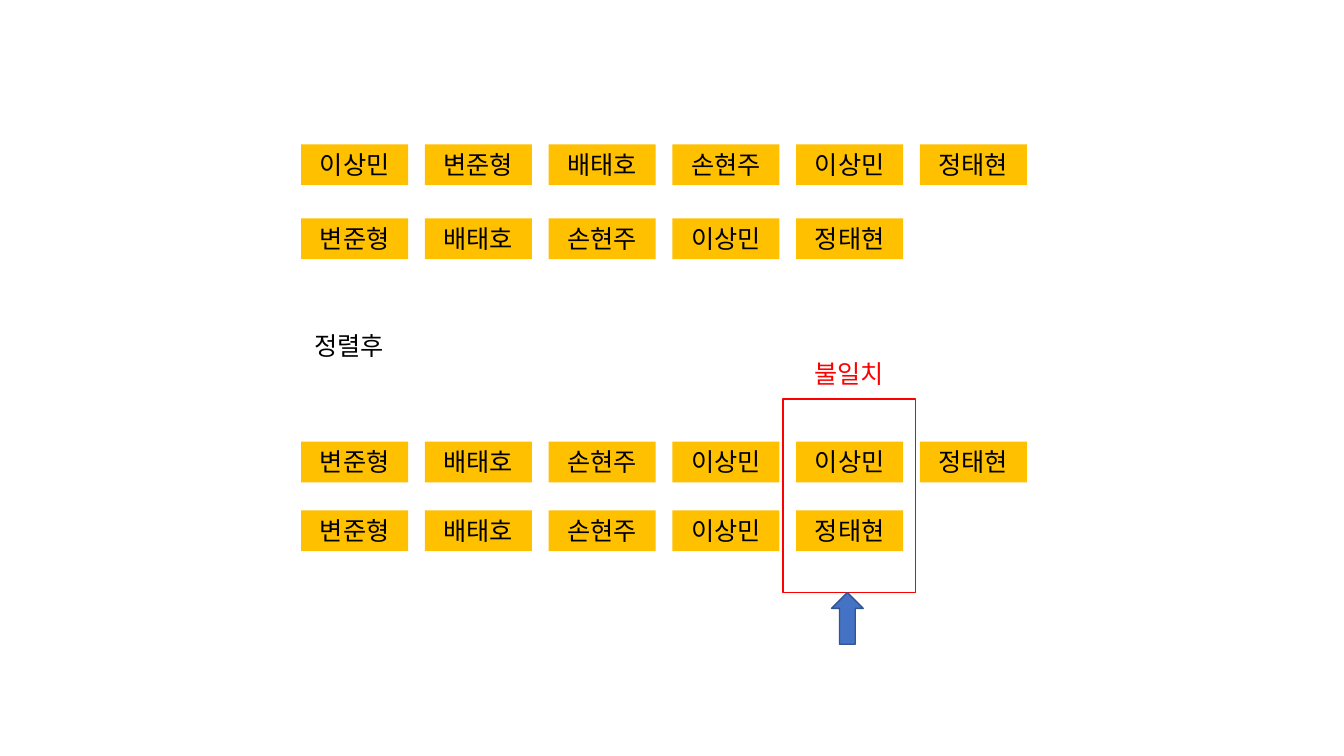
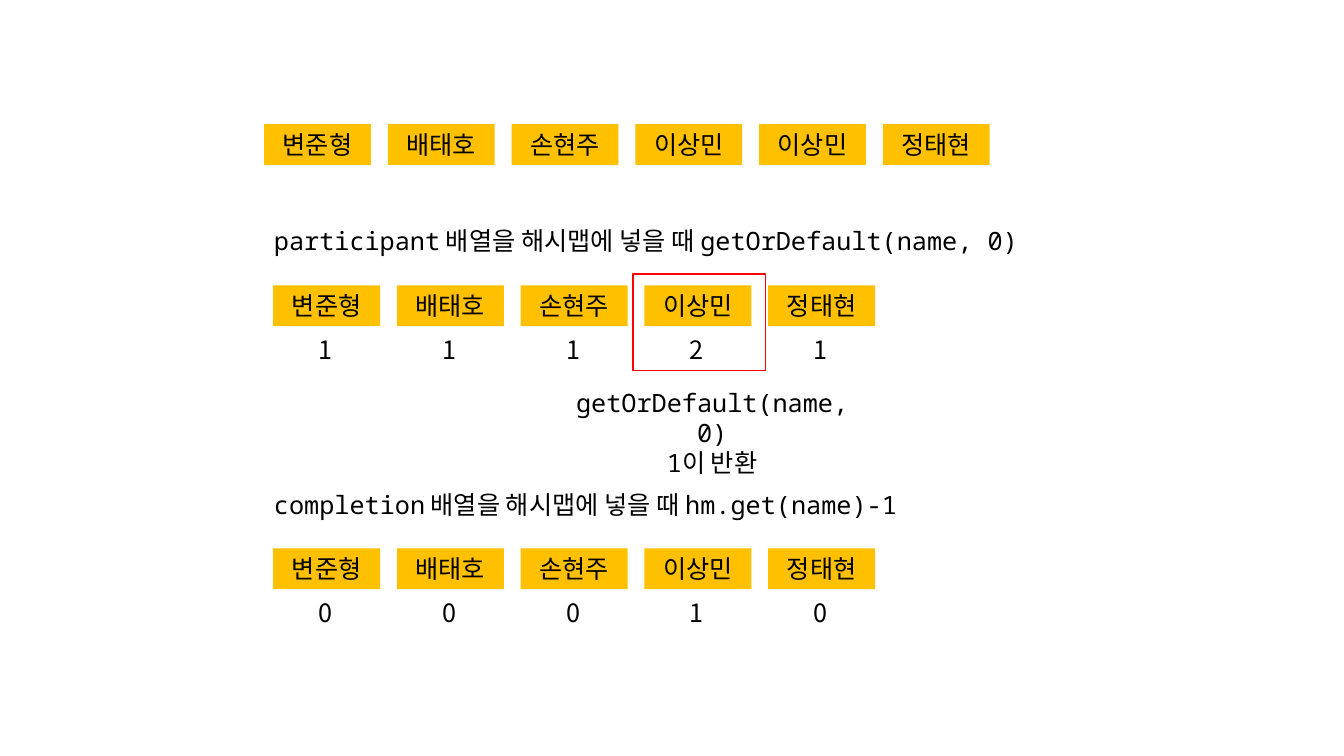
from pptx import Presentation
from pptx import util as u
from pptx.dml import color
from pptx.enum import shapes, text
from pptx.oxml import ns
from lxml import etree

COLOURS = {"card": "FFC000", "ink": "000000", "alert": "FF0000",
           "arrow": "4472C4", "arrow_edge": "325491"}
KOREAN, CODE = "Noto Sans CJK KR", "Noto Sans Mono"
CARD_W, CARD_H, PITCH = 76.4, 29.1, 88.4
COUNT_W, COUNT_DROP = 45.4, 31.7

NAMES = ["변준형", "배태호", "손현주", "이상민", "정태현"]
SORTED_PARTICIPANTS = NAMES[:4] + ["이상민", "정태현"]
PARTICIPANTS = ["이상민"] + SORTED_PARTICIPANTS[:4] + ["정태현"]


def rgb(name):
    return color.RGBColor.from_string(COLOURS[name])


def write(shape, lines, colour="ink", size=18, centred=True):
    """Fill a shape with lines, each a list of (words, font) spans."""
    frame = shape.text_frame
    frame.word_wrap = True
    frame.vertical_anchor = text.MSO_ANCHOR.TOP
    for number, spans in enumerate(lines):
        para = frame.add_paragraph() if number else frame.paragraphs[0]
        para.alignment = text.PP_ALIGN.CENTER if centred else text.PP_ALIGN.LEFT
        para.line_spacing = u.Pt(size * 1.2)
        for words, font in spans:
            span = para.add_run()
            span.text = words
            span.font.size = u.Pt(size)
            span.font.name = font
            span.font.color.rgb = rgb(colour)
            east_asian = etree.SubElement(span.font._element, ns.qn("a:ea"))
            east_asian.set("typeface", KOREAN)


def add_label(page, left, top, width, height, lines, **style):
    box = page.shapes.add_textbox(*map(u.Pt, (left, top, width, height)))
    write(box, lines, **style)


def add_figure(page, kind, left, top, width, height, fill=None, line=None):
    figure = page.shapes.add_shape(kind, *map(u.Pt, (left, top, width, height)))
    figure.shadow.inherit = False
    if fill:
        figure.fill.solid()
        figure.fill.fore_color.rgb = rgb(fill)
    else:
        figure.fill.background()
    if line:
        figure.line.color.rgb = rgb(line)
        figure.line.width = u.Pt(1)
    else:
        figure.line.fill.background()
    return figure


def add_cards(page, left, top, names):
    for column, name in enumerate(names):
        card = add_figure(page, shapes.MSO_SHAPE.RECTANGLE, left + column * PITCH,
                          top, CARD_W, CARD_H, fill="card")
        write(card, [[(name, KOREAN)]])


def add_counted_cards(page, left, top, counts):
    """A row of name cards with a count below each."""
    add_cards(page, left, top, NAMES)
    for column, count in enumerate(counts):
        add_label(page, left + 14.8 + column * PITCH, top + COUNT_DROP,
                  COUNT_W, CARD_H, [[(str(count), KOREAN)]])


def add_frame(page, left, top, width, height):
    add_figure(page, shapes.MSO_SHAPE.RECTANGLE, left, top, width, height,
               line="alert")


def build_sorting(page):
    left = 215.1
    # Lists before sorting
    add_cards(page, left, 103.2, PARTICIPANTS)
    add_cards(page, left, 156, NAMES)
    # Lists after sorting
    add_label(page, left, 232.6, 69, CARD_H, [[("정렬후", KOREAN)]])
    add_cards(page, left, 315.5, SORTED_PARTICIPANTS)
    add_cards(page, left, 364.5, NAMES)
    # Mismatch
    add_label(page, 572.2, 252.7, 69, CARD_H, [[("불일치", KOREAN)]], colour="alert")
    add_frame(page, 559.4, 285.1, 94.5, 138.2)
    add_figure(page, shapes.MSO_SHAPE.UP_ARROW, 594, 423.3, 22.6, 36.9,
               fill="arrow", line="arrow_edge")


def build_hash_map(page):
    left, caption_left = 195.1, 188.6
    add_cards(page, caption_left, 88.6, SORTED_PARTICIPANTS)
    # Counting participants
    add_label(page, caption_left, 157.7, 552.2, 51.1,
              [[("participant", CODE), (" 배열을 해시맵에 넣을 때 ", KOREAN),
                ("getOrDefault(name, 0)", CODE)]], centred=False)
    add_counted_cards(page, left, 203.9, [1, 1, 1, 2, 1])
    add_frame(page, 452.2, 195.8, 94.5, 69.1)
    add_label(page, 401.8, 272.9, 213.8, 51.1,
              [[("getOrDefault(name, 0)", CODE)], [("1이 반환", CODE)]])
    # Subtracting those who completed
    add_label(page, caption_left, 345.6, 605.5, CARD_H,
              [[("completion", CODE), (" 배열을 해시맵에 넣을 때 ", KOREAN),
                ("hm.get(name)-1", CODE)]], centred=False)
    add_counted_cards(page, left, 391.7, [0, 0, 0, 1, 0])


def main():
    deck = Presentation()
    deck.slide_width, deck.slide_height = u.Pt(960), u.Pt(540)
    for build in (build_sorting, build_hash_map):
        build(deck.slides.add_slide(deck.slide_layouts[6]))
    deck.save("out.pptx")


main()
